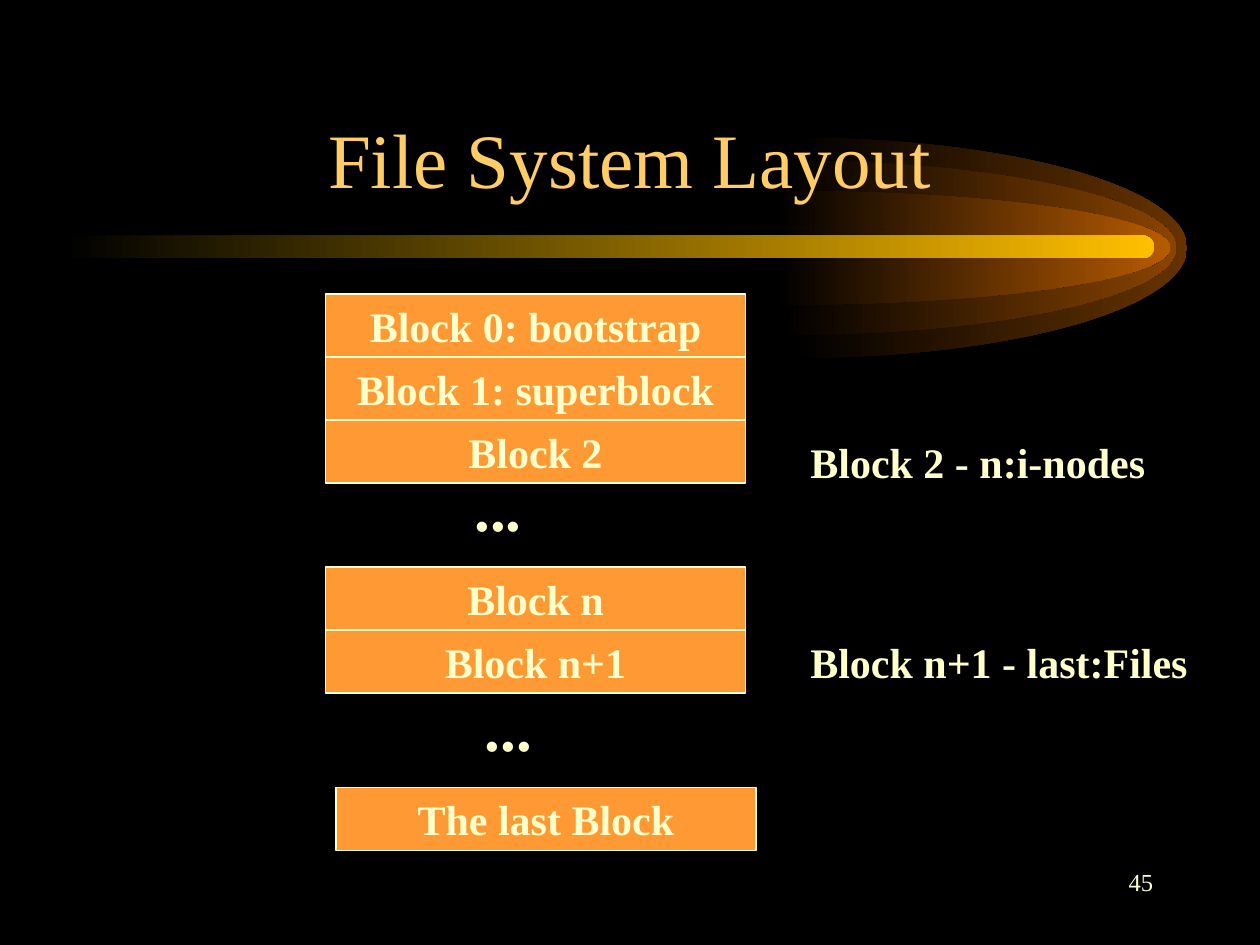
import lxml.etree
import pptx
import pptx.dml.color
import pptx.enum.shapes
import pptx.enum.text
import pptx.oxml.ns
import pptx.util

Pt = pptx.util.Pt
RGBColor = pptx.dml.color.RGBColor
SHAPE = pptx.enum.shapes.MSO_SHAPE
ALIGN = pptx.enum.text.PP_ALIGN
ANCHOR = pptx.enum.text.MSO_ANCHOR
AUTO_SIZE = pptx.enum.text.MSO_AUTO_SIZE
qn = pptx.oxml.ns.qn

BLACK = RGBColor(0x00, 0x00, 0x00)
CREAM = RGBColor(0xFF, 0xFF, 0xCC)
GOLD = RGBColor(0xFF, 0xCC, 0x66)
ORANGE = RGBColor(0xFF, 0x99, 0x33)
DARK_BROWN = RGBColor(0x66, 0x33, 0x00)
BROWN = RGBColor(0x89, 0x44, 0x00)
RUST = RGBColor(0xB7, 0x5B, 0x00)
AMBER = RGBColor(0xFF, 0xBF, 0x00)
FONT = "Times New Roman"
BLOCK_WIDTH = 240
BLOCK_HEIGHT = 36
CURVE = 0.55


def fade_from_black(sp, color):
    sp.shadow.inherit = False
    sp.fill.gradient()
    sp.fill.gradient_angle = 0
    for stop, rgb in zip(sp.fill.gradient_stops, (BLACK, color)):
        stop.color.rgb = rgb
    sp.line.fill.background()


def write(sp, text, size, color=CREAM, bold=False, align=ALIGN.LEFT,
          anchor=ANCHOR.TOP, wrap=False):
    tf = sp.text_frame
    tf.text = text
    tf.word_wrap = wrap
    tf.vertical_anchor = anchor
    p = tf.paragraphs[0]
    p.alignment = align
    font = p.runs[0].font
    font.name = FONT
    font.size = Pt(size)
    font.bold = bold
    font.color.rgb = color
    return p


def add_label(s, text, left, top, width, height, size, wrap=False, **style):
    sp = s.shapes.add_textbox(Pt(left), Pt(top), Pt(width), Pt(height))
    p = write(sp, text, size, wrap=wrap, **style)
    if not wrap:
        sp.text_frame.auto_size = AUTO_SIZE.SHAPE_TO_FIT_TEXT
    return p


def bend_lines(sp):
    lines = list(sp._element.iter(qn("a:lnTo")))
    for i in range(0, len(lines), 3):
        curve = lxml.etree.Element(qn("a:cubicBezTo"))
        lines[i].addprevious(curve)
        for line in lines[i:i + 3]:
            curve.append(line[0])
            line.getparent().remove(line)


def add_half_ellipse(s, left, top, width, height, color):
    right, middle, bottom = left + width, top + height / 2, top + height
    dx, dy = width * CURVE, height / 2 * CURVE
    points = [(left + dx, top), (right, middle - dy), (right, middle),
              (right, middle + dy), (left + dx, bottom), (left, bottom)]
    builder = s.shapes.build_freeform(Pt(left), Pt(top))
    builder.add_line_segments([(Pt(x), Pt(y)) for x, y in points],
                              close=True)
    sp = builder.convert_to_shape()
    bend_lines(sp)
    fade_from_black(sp, color)


def add_comet(s, left, top, width, height):
    middle = top + height / 2
    for inset, glow_height, color in (
            (417, 126, DARK_BROWN), (411, 100, BROWN), (407.5, 65.5, RUST)):
        add_half_ellipse(s, left + inset, middle + 0.5 - glow_height / 2,
                         225.3, glow_height, color)
    tail = s.shapes.add_shape(SHAPE.ROUNDED_RECTANGLE, Pt(left), Pt(top),
                              Pt(width), Pt(height))
    tail.adjustments[0] = 0.5
    fade_from_black(tail, AMBER)


def add_blocks(s, left, top, names):
    for i, name in enumerate(names):
        sp = s.shapes.add_shape(SHAPE.RECTANGLE, Pt(left),
                                Pt(top + i * BLOCK_HEIGHT),
                                Pt(BLOCK_WIDTH), Pt(BLOCK_HEIGHT))
        sp.shadow.inherit = False
        sp.fill.solid()
        sp.fill.fore_color.rgb = ORANGE
        sp.line.color.rgb = CREAM
        sp.line.width = Pt(1)
        write(sp, name, 24, bold=True, align=ALIGN.CENTER,
              anchor=ANCHOR.MIDDLE)


def add_disk_layout(s, left, top):
    add_blocks(s, left, top,
               ["Block 0: bootstrap", "Block 1: superblock", "Block 2"])
    add_blocks(s, left, top + 156, ["Block n", "Block n+1"])
    add_blocks(s, left + 6, top + 282, ["The last Block"])
    for dx, dy in ((78, 96), (84, 222)):
        add_label(s, "...", left + dx, top + dy, 41.4, 50.4, 36, bold=True)
    for text, dy, width in (("Block 2 - n:i-nodes", 78, 206),
                            ("Block n+1 - last:Files", 192, 230)):
        add_label(s, text, left + 270, top + dy, width, 36, 24, bold=True)


def add_layout_slide(prs):
    s = prs.slides.add_slide(prs.slide_layouts[6])
    s.background.fill.solid()
    s.background.fill.fore_color.rgb = BLACK
    add_comet(s, 36, 134.6, 623.5, 13)
    number = add_label(s, "45", 516, 492, 150, 36, 14,
                       align=ALIGN.RIGHT, wrap=True)
    number.space_before = Pt(8.8)
    add_label(s, "File System Layout", 54, 30, 612, 90, 44, color=GOLD,
              align=ALIGN.CENTER, anchor=ANCHOR.BOTTOM, wrap=True)
    add_disk_layout(s, 186, 168)


def main():
    prs = pptx.Presentation()
    prs.slide_width = Pt(720)
    prs.slide_height = Pt(540)
    add_layout_slide(prs)
    prs.save("out.pptx")


if __name__ == "__main__":
    main()
